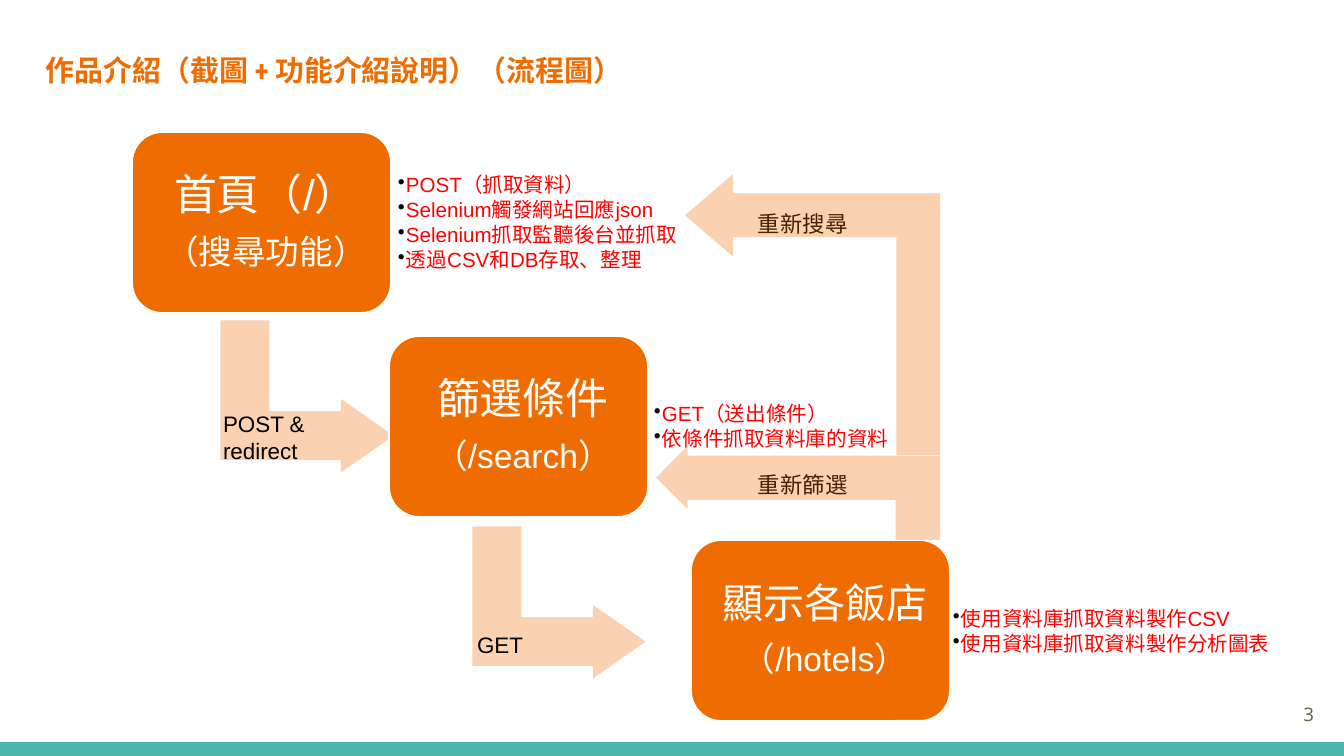
from lxml import etree
from pptx import Presentation
from pptx.dml.color import RGBColor
from pptx.enum.shapes import MSO_SHAPE
from pptx.enum.text import MSO_ANCHOR, MSO_AUTO_SIZE, PP_ALIGN
from pptx.oxml.ns import qn
from pptx.util import Emu, Pt

SCALE = 914400 / 134.4
RECT, ROUNDED, BENT_ARROW = MSO_SHAPE.RECTANGLE, MSO_SHAPE.ROUNDED_RECTANGLE, MSO_SHAPE.BENT_UP_ARROW
TOP, MIDDLE = MSO_ANCHOR.TOP, MSO_ANCHOR.MIDDLE
LEFT, CENTER, RIGHT = PP_ALIGN.LEFT, PP_ALIGN.CENTER, PP_ALIGN.RIGHT
NO_FIT, GROW = MSO_AUTO_SIZE.NONE, MSO_AUTO_SIZE.SHAPE_TO_FIT_TEXT
ORANGE, TEAL, WHITE, BLACK, RED, BROWN = "EF6C00", "4DB6AC", "FFFFFF", "000000", "FF0000", "695D46"

STEPS = [
    ((132, 132), "首頁（/）", "（搜尋功能）", 23),
    ((389, 336), "篩選條件", "（/search）", 23),
    ((691, 540), "顯示各飯店", "（/hotels）", 22),
]
NOTES = [
    ((390, 157, 456, 132), ["POST（抓取資料）", "Selenium觸發網站回應json",
                            "Selenium抓取監聽後台並抓取", "透過CSV和DB存取、整理"]),
    ((646, 384, 312, 86), ["GET（送出條件）", "依條件抓取資料庫的資料"]),
    ((945, 559, 336, 146), ["使用資料庫抓取資料製作CSV", "使用資料庫抓取資料製作分析圖表"]),
]
LABELS = [
    ((210, 403, 112, 67), "POST & redirect"),
    ((464, 624, 112, 40), "GET"),
    ((745, 464, 129, 40), "重新篩選"),
    ((745, 203, 129, 40), "重新搜尋"),
]
FORWARD_ARROWS = [(230, 309, 155, 176), (482, 515, 155, 176)]
RETURN_ARROWS = [
    ((672, 187, 281, 255), (0.171, 0.162, 0.189)),
    ((751, 351, 94, 284), (0.472, 0.337, 0.337)),
]


def px(length):
    """Turn a length in px into EMU."""
    return Emu(round(length * SCALE))


def color(code):
    """Turn a hex string into a colour."""
    return RGBColor.from_string(code)


def set_frame(box, insets, anchor=TOP, fit=NO_FIT):
    """Set insets, anchor and wrapping of a box and return its text frame."""
    frame = box.text_frame
    frame.margin_left, frame.margin_top, frame.margin_right, frame.margin_bottom = map(px, insets)
    frame.word_wrap, frame.auto_size, frame.vertical_anchor = True, fit, anchor
    return frame


def add_bullet(para):
    """Give a paragraph a black bullet with a hanging indent."""
    para.level = 1
    props = para._p.get_or_add_pPr()
    props.set("marL", str(px(8)))
    props.set("indent", str(px(-11)))
    tint = etree.SubElement(props, qn("a:buClr"))
    etree.SubElement(tint, qn("a:srgbClr"), val=BLACK)
    etree.SubElement(props, qn("a:buChar"), char="•")


def write(frame, text, first=True, size=12, fill=BLACK, font="Arial", bold=False,
          align=LEFT, spacing=1.0, before=0, bullet=False):
    """Write one formatted paragraph into a text frame."""
    para = frame.paragraphs[0] if first else frame.add_paragraph()
    if bullet:
        add_bullet(para)
    para.alignment, para.line_spacing = align, spacing
    para.space_before = Pt(0 if first else before)
    span = para.add_run()
    span.text = text
    span.font.name, span.font.size, span.font.bold = font, Pt(size), bold
    span.font.color.rgb = color(fill)


def add_textbox(page, place, insets, anchor=TOP, fit=NO_FIT):
    """Add an empty text box and return its text frame."""
    return set_frame(page.shapes.add_textbox(*map(px, place)), insets, anchor, fit)


def add_box(page, kind, place, fill, adjustments=(), outlined=False):
    """Add a filled preset shape, with a white outline where wanted."""
    box = page.shapes.add_shape(kind, *map(px, place))
    box.shadow.inherit = False
    for index, value in enumerate(adjustments):
        box.adjustments[index] = value
    box.fill.solid()
    box.fill.fore_color.rgb = color(fill)
    if outlined:
        box.line.color.rgb = color(WHITE)
        box.line.width = Pt(1)
    else:
        box.line.fill.background()
    return box


def add_arrow(page, place, rotation, adjustments, outlined=False):
    """Add a rotated, see-through bent arrow."""
    arrow = add_box(page, BENT_ARROW, place, ORANGE, adjustments, outlined)
    arrow.rotation = rotation
    tint = arrow._element.spPr.find(qn("a:solidFill"))[0]
    etree.SubElement(tint, qn("a:alpha"), val="30000")


def add_step(page, corner, name, detail, size):
    """Add a rounded step box with its name and detail."""
    box = add_box(page, ROUNDED, (*corner, 259, 181), ORANGE, (0.167,), True)
    frame = set_frame(box, (22, 22, 13, 22), MIDDLE)
    write(frame, name, size=size, fill=WHITE, align=CENTER, spacing=0.9)
    write(frame, detail, first=False, size=18, fill=WHITE, align=CENTER, spacing=0.9, before=8.1)


def add_notes(page, place, lines):
    """Add a bulleted list of red notes."""
    frame = add_textbox(page, place, (8, 8, 8, 8), MIDDLE)
    for index, line in enumerate(lines):
        write(frame, line, first=index == 0, size=11, fill=RED, spacing=0.9, before=1.6, bullet=True)


def add_title(page, text):
    """Place and write the slide title."""
    title = page.shapes.title
    title.left, title.top, title.width, title.height = map(px, (46, 40, 1253, 62))
    write(set_frame(title, (0, 13, 0, 13)), text, size=15.5, fill=ORANGE,
          font="Roboto Condensed", bold=True)


def main():
    """Build and save the flow chart slide."""
    deck = Presentation()
    deck.slide_width, deck.slide_height = px(1344), px(756)
    page = deck.slides.add_slide(deck.slide_layouts[5])
    add_box(page, RECT, (0, 742, 1344, 14), TEAL)
    add_title(page, "作品介紹（截圖 + 功能介紹說明）（流程圖）")
    number = add_textbox(page, (1246, 685, 81, 58), (13, 13, 13, 13), MIDDLE)
    write(number, "3", size=10, fill=BROWN, font="Open Sans", align=RIGHT)
    for place in FORWARD_ARROWS:
        add_arrow(page, place, 90, (0.328, 0.25, 0.358), True)
    for step in STEPS:
        add_step(page, *step)
    for place, lines in NOTES:
        add_notes(page, place, lines)
    for place, text in LABELS:
        write(add_textbox(page, place, (13, 7, 13, 7), fit=GROW), text)
    for place, adjustments in RETURN_ARROWS:
        add_arrow(page, place, 270, adjustments)
    deck.save("out.pptx")


if __name__ == "__main__":
    main()
